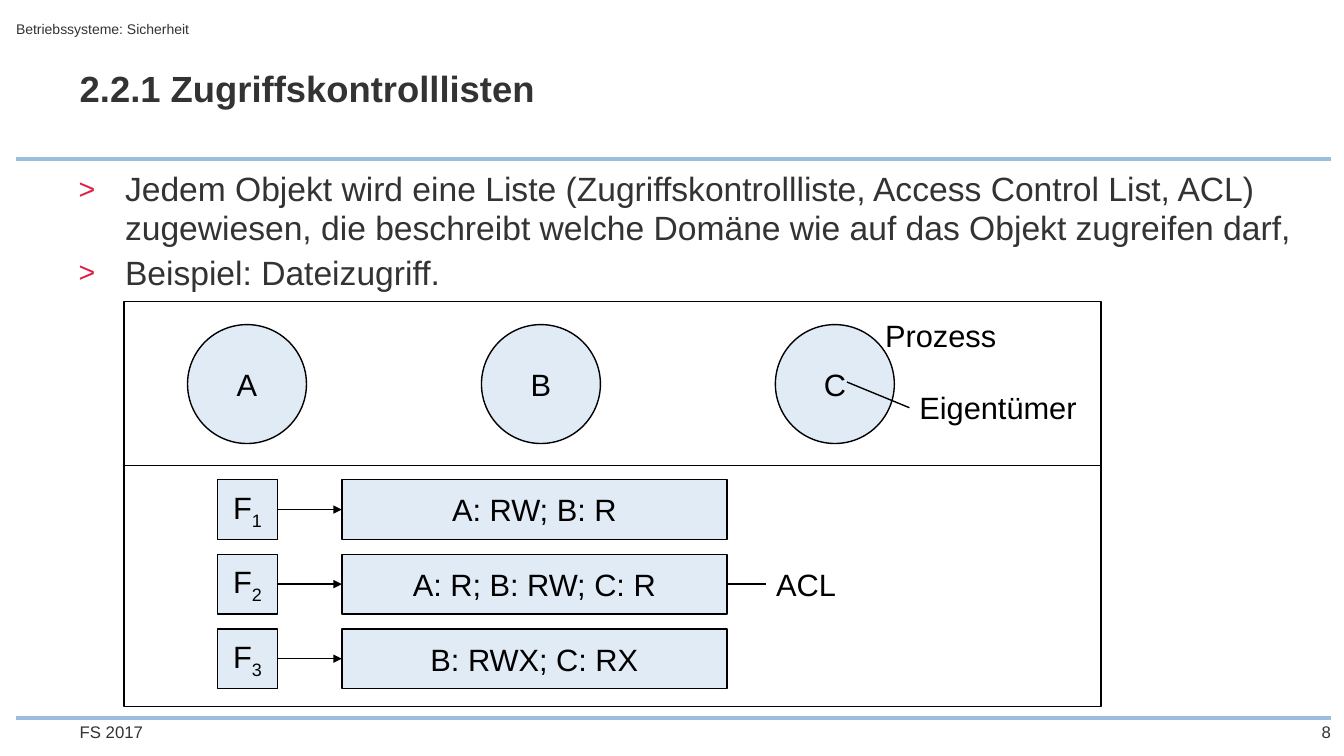
from dataclasses import dataclass

from lxml import etree
from pptx import Presentation
from pptx.dml.color import RGBColor
from pptx.enum.shapes import MSO_CONNECTOR as CONN, MSO_SHAPE as SHAPE
from pptx.enum.text import MSO_ANCHOR as ANCHOR, MSO_AUTO_SIZE as AUTO, PP_ALIGN as ALIGN
from pptx.oxml.ns import qn
from pptx.util import Inches, Pt


@dataclass(frozen=True)
class Theme:
    font: str = "Arial"
    text: str = "333333"
    ink: str = "000000"
    rule: str = "9CBDDE"
    node: str = "E1EBF5"
    bullet: str = "DF2046"
    title_size: int = 26
    body_size: int = 24
    diagram_size: int = 22
    footer_size: int = 12
    header_size: int = 10
    rule_width: int = 3
    outline: int = 1


@dataclass(frozen=True)
class Box:
    x: float
    y: float
    w: float
    h: float

    def inner(self, dx, dy, w, h):
        return Box(self.x + dx, self.y + dy, w, h)

    @property
    def right(self):
        return self.x + self.w

    @property
    def middle(self):
        return self.y + self.h / 2

    @property
    def emu(self):
        return [Inches(v) for v in (self.x, self.y, self.w, self.h)]


THEME = Theme()
PAGE = Box(0, 0, 13.33, 7.5)
MARGIN, INDENT = 0.16, 0.79


def style(r, size, color, bold=False):
    f = r.font
    f.name, f.size, f.bold = THEME.font, Pt(size), bold
    f.color.rgb = RGBColor.from_string(color)


def write(tf, text, size, color, align=ALIGN.LEFT, bold=False):
    tf.text = text
    for p in tf.paragraphs:
        p.alignment = align
        for r in p.runs:
            style(r, size, color, bold)


def clear_insets(tf):
    tf.margin_left = tf.margin_right = tf.margin_top = tf.margin_bottom = 0


def place(sp, box):
    sp.left, sp.top, sp.width, sp.height = box.emu
    tf = sp.text_frame
    clear_insets(tf)
    tf.auto_size, tf.vertical_anchor = AUTO.NONE, ANCHOR.TOP
    return tf


def add_line(s, start, end, color=THEME.ink, width=THEME.outline, arrow=False):
    ends = [Inches(v) for v in (*start, *end)]
    line = s.shapes.add_connector(CONN.STRAIGHT, *ends)
    line.line.color.rgb = RGBColor.from_string(color)
    line.line.width = Pt(width)
    if arrow:
        etree.SubElement(line.line._get_or_add_ln(), qn("a:tailEnd"), type="triangle")
    etree.SubElement(line._element.spPr, qn("a:effectLst"))


def add_node(s, kind, box, text="", fill=None):
    sp = s.shapes.add_shape(kind, *box.emu)
    sp.shadow.inherit = False
    sp.line.color.rgb = RGBColor.from_string(THEME.ink)
    sp.line.width = Pt(THEME.outline)
    if fill:
        sp.fill.solid()
        sp.fill.fore_color.rgb = RGBColor.from_string(fill)
    else:
        sp.fill.background()
    tf = sp.text_frame
    if text:
        tf.vertical_anchor = ANCHOR.MIDDLE
        write(tf, text, THEME.diagram_size, THEME.ink, ALIGN.CENTER)
    return tf


def add_label(s, box, text):
    tf = s.shapes.add_textbox(*box.emu).text_frame
    tf.word_wrap, tf.auto_size = False, AUTO.SHAPE_TO_FIT_TEXT
    write(tf, text, THEME.diagram_size, THEME.ink)


def add_frame(s, page):
    """Rules, header, footer and page number."""
    right = page.w - 0.13
    for y in (1.58, 7.12):
        add_line(s, (MARGIN, y), (right, y), THEME.rule, THEME.rule_width)
    marks = (
        (page.inner(MARGIN, 0.2, 7.87, 0.28), "Betriebssysteme: Sicherheit", THEME.header_size, ALIGN.LEFT),
        (page.inner(INDENT, 7.16, 5.56, 0.2), "FS 2017", THEME.footer_size, ALIGN.LEFT),
        (page.inner(right - 0.53, 7.16, 0.53, 0.2), "8", THEME.footer_size, ALIGN.RIGHT),
    )
    for box, text, size, align in marks:
        tf = s.shapes.add_textbox(*box.emu).text_frame
        tf.word_wrap = True
        clear_insets(tf)
        write(tf, text, size, THEME.text, align)


def fill_title(s, box, text):
    tf = place(s.shapes.title, box)
    write(tf, text, THEME.title_size, THEME.text, bold=True)
    tf.paragraphs[0].line_spacing = 0.9


def fill_bullets(s, box, items):
    tf = place(s.placeholders[1], box)
    write(tf, "\n".join(items), THEME.body_size, THEME.text)
    for p in tf.paragraphs:
        p.line_spacing, p.space_before = 0.95, Pt(THEME.body_size * 0.2)
        ppr = p._p.get_or_add_pPr()
        ppr.set("marL", str(Inches(0.46)))
        ppr.set("indent", str(-Inches(0.46)))
        color = etree.SubElement(ppr, qn("a:buClr"))
        etree.SubElement(color, qn("a:srgbClr"), val=THEME.bullet)
        etree.SubElement(ppr, qn("a:buSzPct"), val="85000")
        etree.SubElement(ppr, qn("a:buFont"), typeface=THEME.font)
        etree.SubElement(ppr, qn("a:buChar"), char=">")


def draw_processes(s, box):
    add_node(s, SHAPE.RECTANGLE, box)
    size, pitch = 1.18, 2.915
    for i, name in enumerate("ABC"):
        circle = box.inner(0.63 + i * pitch, 0.23, size, size)
        add_node(s, SHAPE.OVAL, circle, name, THEME.node)
    add_label(s, box.inner(7.45, 0.1, 1.32, 0.47), "Prozess")
    owner = box.inner(7.79, 0.82, 1.78, 0.47)
    add_label(s, owner, "Eigentümer")
    add_line(s, (box.x + 7.17, box.y + 0.8), (owner.x, owner.middle))


def draw_access_lists(s, box, lists):
    """One row per file: its box, an arrow and its access control list."""
    add_node(s, SHAPE.RECTANGLE, box)
    size, pitch = 0.59, 0.74
    for i, rights in enumerate(lists):
        file = box.inner(0.93, 0.14 + i * pitch, size, size)
        acl = box.inner(2.16, 0.14 + i * pitch, 3.82, size)
        p = add_node(s, SHAPE.RECTANGLE, file, "F", THEME.node).paragraphs[0]
        r = p.add_run()
        r.text = str(i + 1)
        style(r, THEME.diagram_size, THEME.ink)
        r.font._element.set("baseline", "-25000")
        add_node(s, SHAPE.RECTANGLE, acl, rights, THEME.node)
        add_line(s, (file.right, file.middle), (acl.x, acl.middle), arrow=True)
        if i == 1:
            label = Box(acl.right + 0.39, acl.middle - 0.23, 0.8, 0.47)
            add_line(s, (acl.right, acl.middle), (label.x, acl.middle))
            add_label(s, label, "ACL")


def main():
    prs = Presentation()
    prs.slide_width, prs.slide_height = Inches(PAGE.w), Inches(PAGE.h)
    s = prs.slides.add_slide(prs.slide_layouts[1])
    add_frame(s, PAGE)
    fill_title(s, PAGE.inner(INDENT, 0.71, 9.66, 0.89), "2.2.1 Zugriffskontrolllisten")
    fill_bullets(s, PAGE.inner(INDENT - 0.01, 1.7, 12.55, 1.29), (
        "Jedem Objekt wird eine Liste (Zugriffskontrollliste, Access Control List, ACL) "
        "zugewiesen, die beschreibt welche Domäne wie auf das Objekt zugreifen darf,",
        "Beispiel: Dateizugriff.",
    ))
    diagram = PAGE.inner(1.23, 2.99, 9.69, 4.02)
    split = 1.63
    draw_processes(s, diagram.inner(0, 0, diagram.w, split))
    draw_access_lists(s, diagram.inner(0, split, diagram.w, diagram.h - split),
                      ("A: RW; B: R", "A: R; B: RW; C: R", "B: RWX; C: RX"))
    prs.save("out.pptx")


if __name__ == "__main__":
    main()
